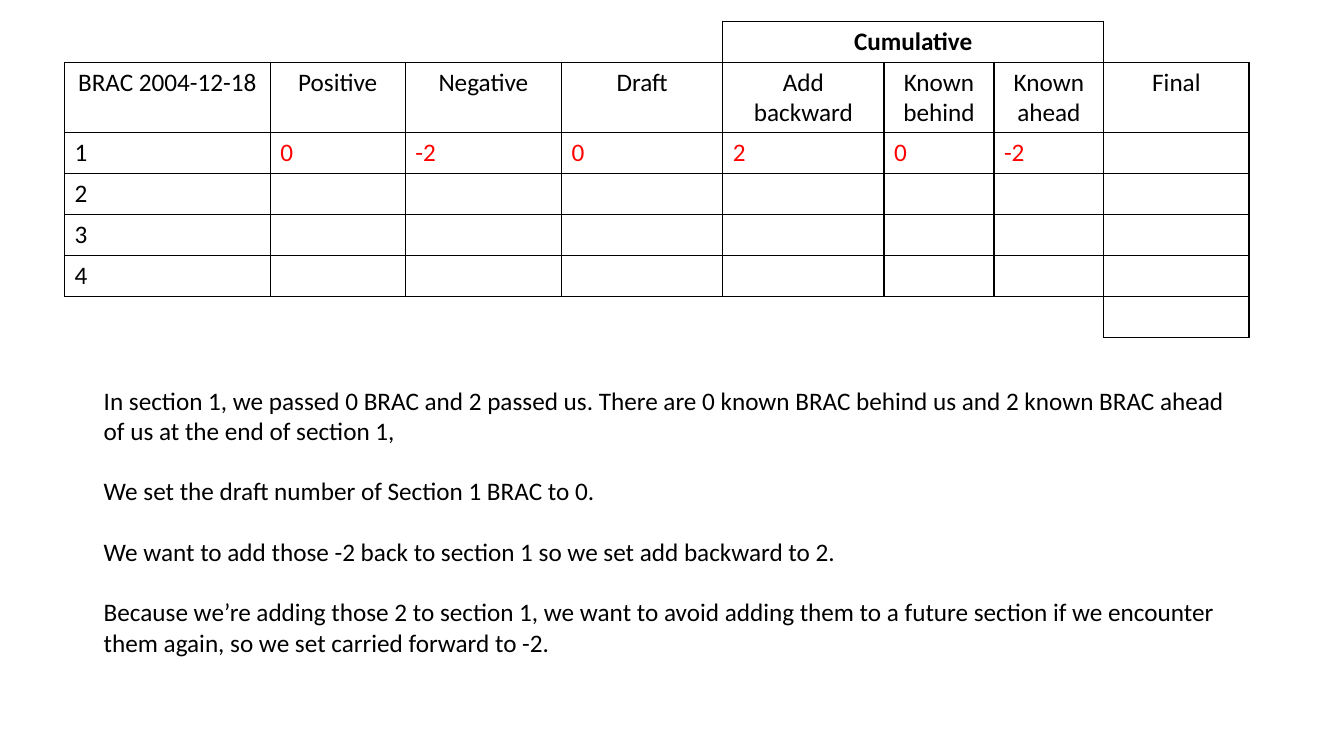
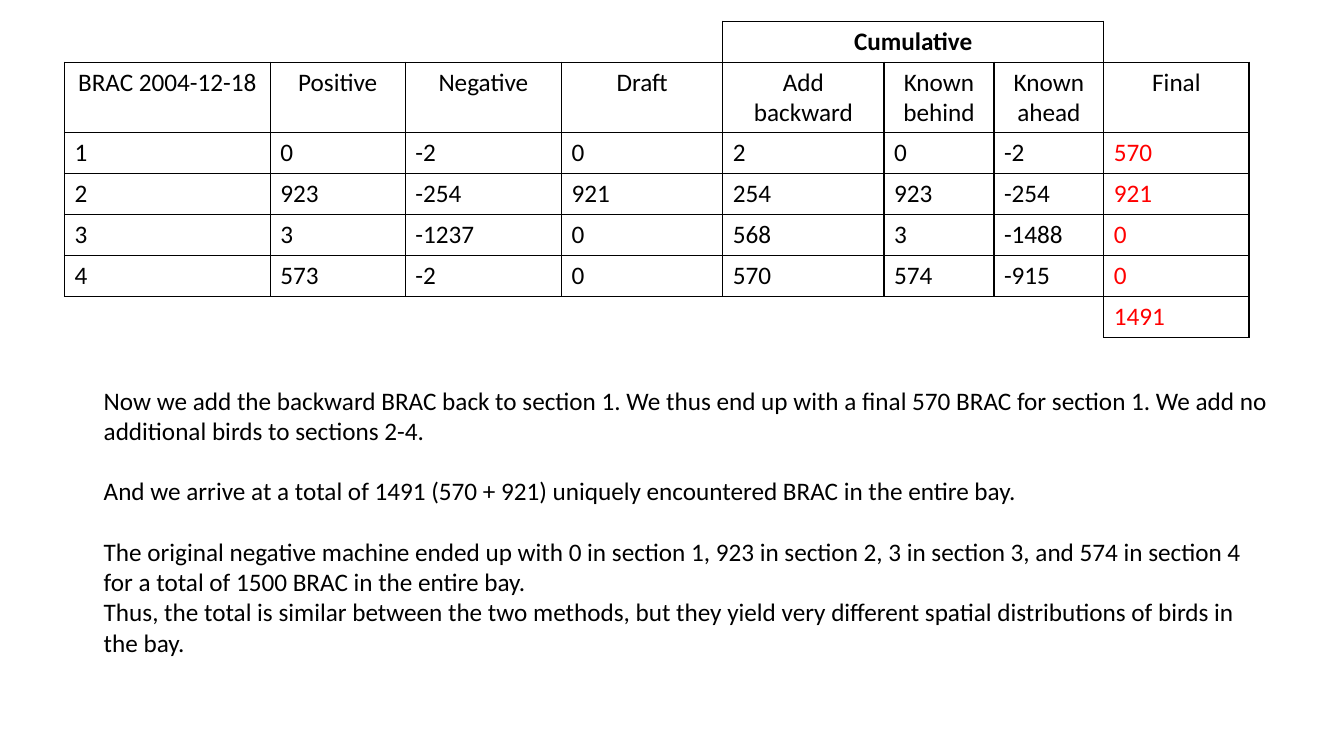
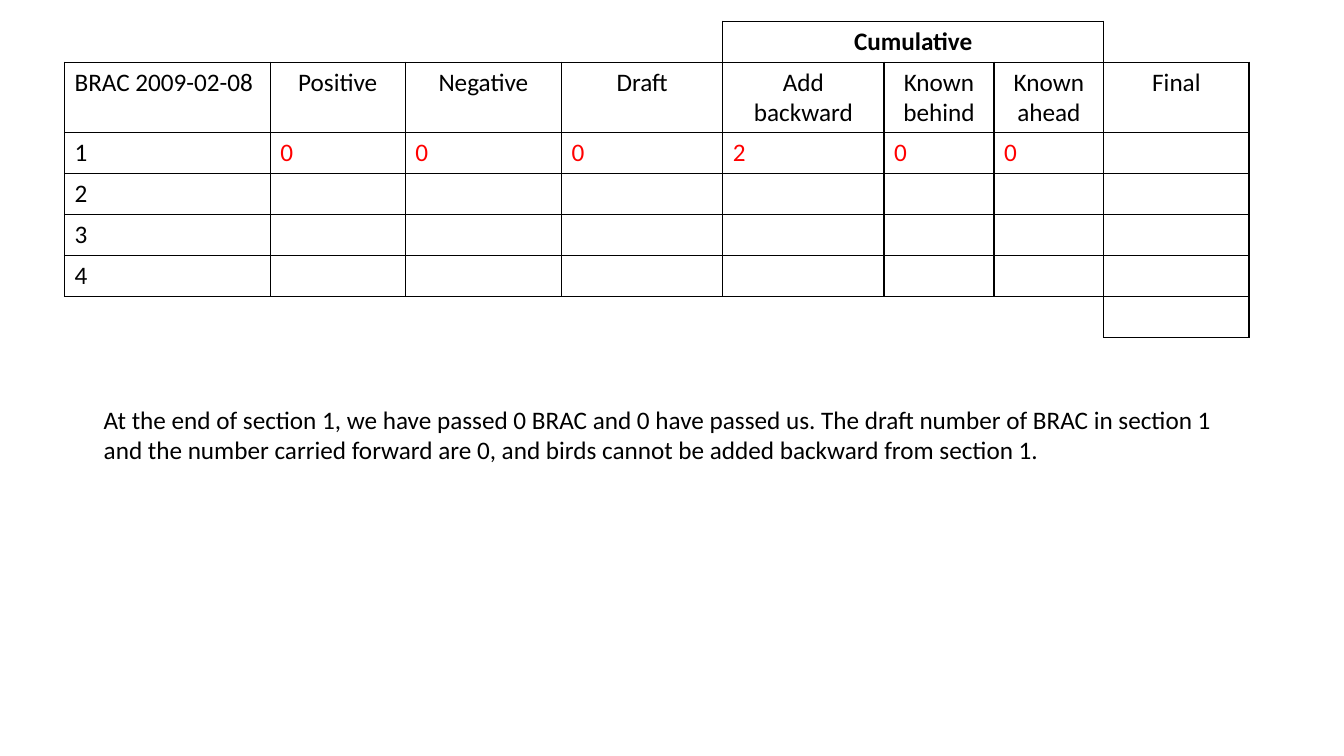
from dataclasses import dataclass

from lxml import etree
from pptx import Presentation
from pptx import util as u
from pptx.dml import color
from pptx.enum import text
from pptx.oxml import ns

FONT = "Calibri"
FONT_SIZE = 18
BLACK = "000000"
RED = "FF0000"
LINE_GAP = 21.6
TABLE_LEFT, TABLE_TOP, TABLE_HEIGHT = 46.1, 15.2, 225.4
ROW_HEIGHT = 29.2
COLUMN_WIDTHS = (146.9, 96.5, 111.6, 115.2, 115.2, 78.5, 78.5, 103.7)
HEADINGS = ("Positive", "Negative", "Draft", "Add backward",
            "Known behind", "Known ahead", "Final")
SECTIONS = ("1", "2", "3", "4")
GROUP_ROW, HEADING_ROW, FIRST_SECTION_ROW = 0, 1, 2
TOTAL_ROW = FIRST_SECTION_ROW + len(SECTIONS)
ROW_COUNT = TOTAL_ROW + 1
CUMULATIVE_COLUMNS = range(4, 7)
FINAL_COLUMN = 7


@dataclass(frozen=True)
class Remark:
    words: str
    gap: float = LINE_GAP


@dataclass(frozen=True)
class CountPage:
    survey: str
    counts: tuple[tuple[str, ...], ...]
    red_columns: range
    remarks: tuple[Remark, ...]
    box_top: float
    box_width: float
    box_height: float
    total: str = ""
    survey_align: text.PP_ALIGN = text.PP_ALIGN.CENTER


PAGES = (
    CountPage(
        survey="BRAC 2004-12-18",
        counts=(("0", "-2", "0", "2", "0", "-2"),),
        red_columns=range(1, FINAL_COLUMN),
        remarks=(
            Remark("In section 1, we passed 0 BRAC and 2 passed us. There are 0 known BRAC "
                   "behind us and 2 known BRAC ahead of us at the end of section 1,", 0),
            Remark("We set the draft number of Section 1 BRAC to 0."),
            Remark("We want to add those -2 back to section 1 so we set add backward to 2."),
            Remark("Because we’re adding those 2 to section 1, we want to avoid adding them "
                   "to a future section if we encounter them again, so we set carried "
                   "forward to -2."),
        ),
        box_top=271.5, box_width=821.5, box_height=203.8,
    ),
    CountPage(
        survey="BRAC 2004-12-18",
        counts=(
            ("0", "-2", "0", "2", "0", "-2", "570"),
            ("923", "-254", "921", "254", "923", "-254", "921"),
            ("3", "-1237", "0", "568", "3", "-1488", "0"),
            ("573", "-2", "0", "570", "574", "-915", "0"),
        ),
        red_columns=range(FINAL_COLUMN, FINAL_COLUMN + 1),
        remarks=(
            Remark("Now we add the backward BRAC back to section 1. We thus end up with a "
                   "final 570 BRAC for section 1. We add no additional birds to sections "
                   "2-4.", 0),
            Remark("And we arrive at a total of 1491 (570 + 921) uniquely encountered BRAC "
                   "in the entire bay."),
            Remark("The original negative machine ended up with 0 in section 1, 923 in "
                   "section 2, 3 in section 3, and 574 in section 4 for a total of 1500 "
                   "BRAC in the entire bay."),
            Remark("Thus, the total is similar between the two methods, but they yield very "
                   "different spatial distributions of birds in the bay.", 0),
        ),
        box_top=271.5, box_width=846.7, box_height=203.8,
        total="1491",
    ),
    CountPage(
        survey="BRAC 2009-02-08",
        counts=(("0", "0", "0", "2", "0", "0"),),
        red_columns=range(1, FINAL_COLUMN),
        remarks=(
            Remark("At the end of section 1, we have passed 0 BRAC and 0 have passed us. The "
                   "draft number of BRAC in section 1 and the number carried forward are 0, "
                   "and birds cannot be added backward from section 1.", 0),
        ),
        box_top=285.1, box_width=834.5, box_height=50.9,
        survey_align=text.PP_ALIGN.LEFT,
    ),
)


def add_span(para, words: str, shade: str = BLACK, bold: bool = False) -> None:
    span = para.add_run()
    span.text = words
    span.font.name = FONT
    span.font.size = u.Pt(FONT_SIZE)
    span.font.bold = bold
    span.font.color.rgb = color.RGBColor.from_string(shade)


def write_cell(cell, words: str, shade: str = BLACK, bold: bool = False,
               align: text.PP_ALIGN = text.PP_ALIGN.LEFT) -> None:
    if words:
        para = cell.text_frame.paragraphs[0]
        para.alignment = align
        add_span(para, words, shade, bold)


def is_framed(row: int, column: int) -> bool:
    if row == GROUP_ROW:
        return column in CUMULATIVE_COLUMNS
    if row == TOTAL_ROW:
        return column == FINAL_COLUMN
    return GROUP_ROW < row < TOTAL_ROW and 0 <= column <= FINAL_COLUMN


def draw_borders(cell, row: int, column: int) -> None:
    properties = cell._tc.get_or_add_tcPr()
    neighbours = {"a:lnL": (row, column - 1), "a:lnR": (row, column + 1),
                  "a:lnT": (row - 1, column), "a:lnB": (row + 1, column)}
    for side, neighbour in neighbours.items():
        line = etree.SubElement(properties, ns.qn(side), w=str(u.Pt(1)))
        if is_framed(row, column) or is_framed(*neighbour):
            fill = etree.SubElement(line, ns.qn("a:solidFill"))
            etree.SubElement(fill, ns.qn("a:srgbClr"), val=BLACK)
        else:
            etree.SubElement(line, ns.qn("a:noFill"))
    cell.fill.background()


def add_count_table(page, content: CountPage) -> None:
    frame = page.shapes.add_table(
        ROW_COUNT, len(COLUMN_WIDTHS), u.Pt(TABLE_LEFT), u.Pt(TABLE_TOP),
        u.Pt(sum(COLUMN_WIDTHS)), u.Pt(TABLE_HEIGHT))
    table = frame.table
    table.first_row = False
    table.horz_banding = False
    for column, width in zip(table.columns, COLUMN_WIDTHS):
        column.width = u.Pt(width)
    for row in table.rows:
        row.height = u.Pt(ROW_HEIGHT)
    frame.height = u.Pt(TABLE_HEIGHT)

    for row in range(ROW_COUNT):
        for column in range(len(COLUMN_WIDTHS)):
            draw_borders(table.cell(row, column), row, column)

    group = table.cell(GROUP_ROW, CUMULATIVE_COLUMNS[0])
    group.merge(table.cell(GROUP_ROW, CUMULATIVE_COLUMNS[-1]))
    write_cell(group, "Cumulative", bold=True, align=text.PP_ALIGN.CENTER)
    write_cell(table.cell(HEADING_ROW, 0), content.survey, align=content.survey_align)
    for column, heading in enumerate(HEADINGS, start=1):
        write_cell(table.cell(HEADING_ROW, column), heading, align=text.PP_ALIGN.CENTER)
    for row, section in enumerate(SECTIONS, start=FIRST_SECTION_ROW):
        write_cell(table.cell(row, 0), section)
    for row, counts in enumerate(content.counts, start=FIRST_SECTION_ROW):
        for column, count in enumerate(counts, start=1):
            shade = RED if column in content.red_columns else BLACK
            write_cell(table.cell(row, column), count, shade)
    write_cell(table.cell(TOTAL_ROW, FINAL_COLUMN), content.total, RED)


def add_remarks(page, content: CountPage) -> None:
    box = page.shapes.add_textbox(
        u.Pt(67), u.Pt(content.box_top),
        u.Pt(content.box_width), u.Pt(content.box_height))
    frame = box.text_frame
    frame.word_wrap = True
    frame.auto_size = text.MSO_AUTO_SIZE.SHAPE_TO_FIT_TEXT
    for index, remark in enumerate(content.remarks):
        para = frame.add_paragraph() if index else frame.paragraphs[0]
        para.space_before = u.Pt(remark.gap)
        add_span(para, remark.words)


def main() -> None:
    deck = Presentation()
    deck.slide_width = u.Pt(960)
    deck.slide_height = u.Pt(540)
    blank_layout = deck.slide_layouts[6]
    for content in PAGES:
        page = deck.slides.add_slide(blank_layout)
        add_remarks(page, content)
        add_count_table(page, content)
    deck.save("out.pptx")


main()
